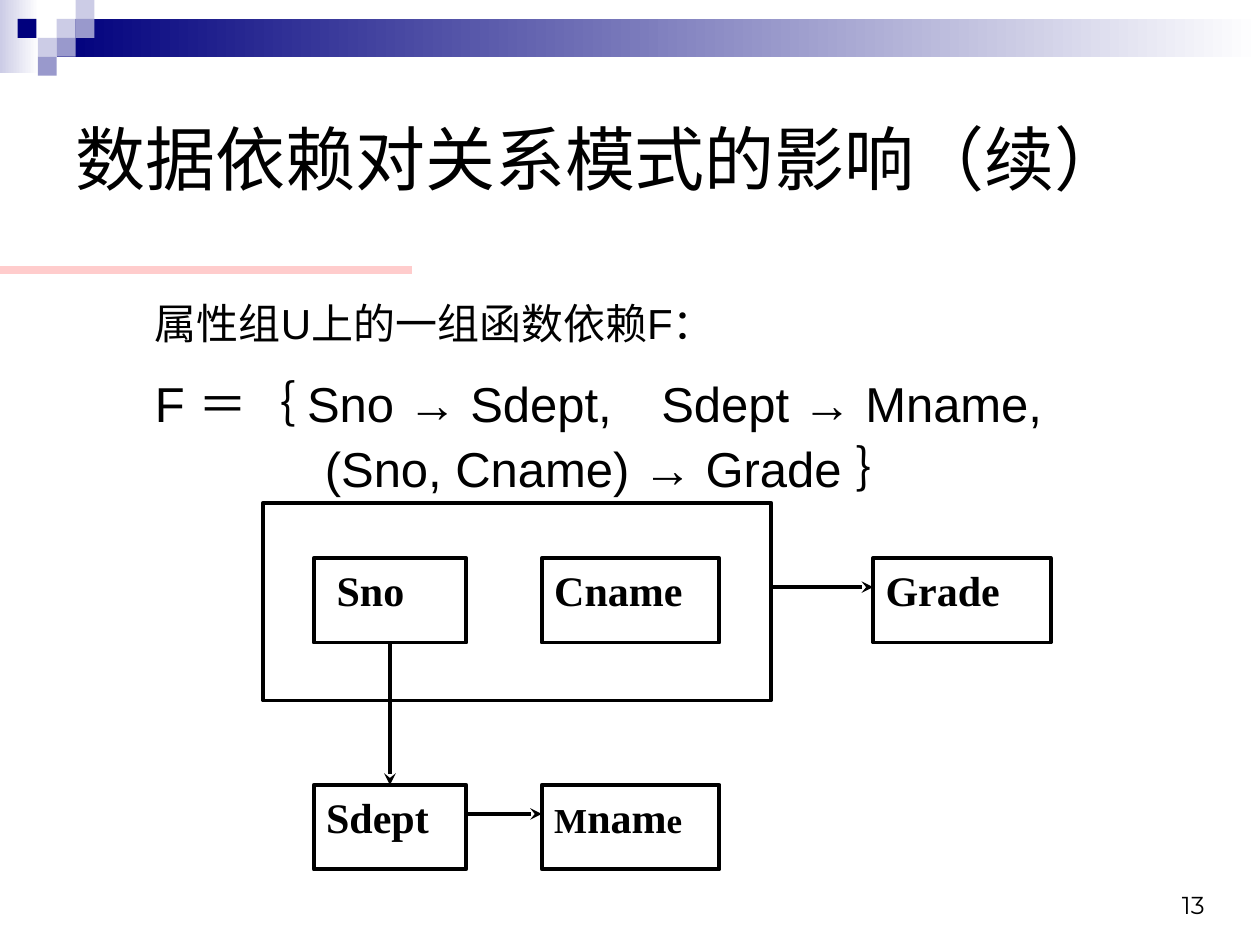
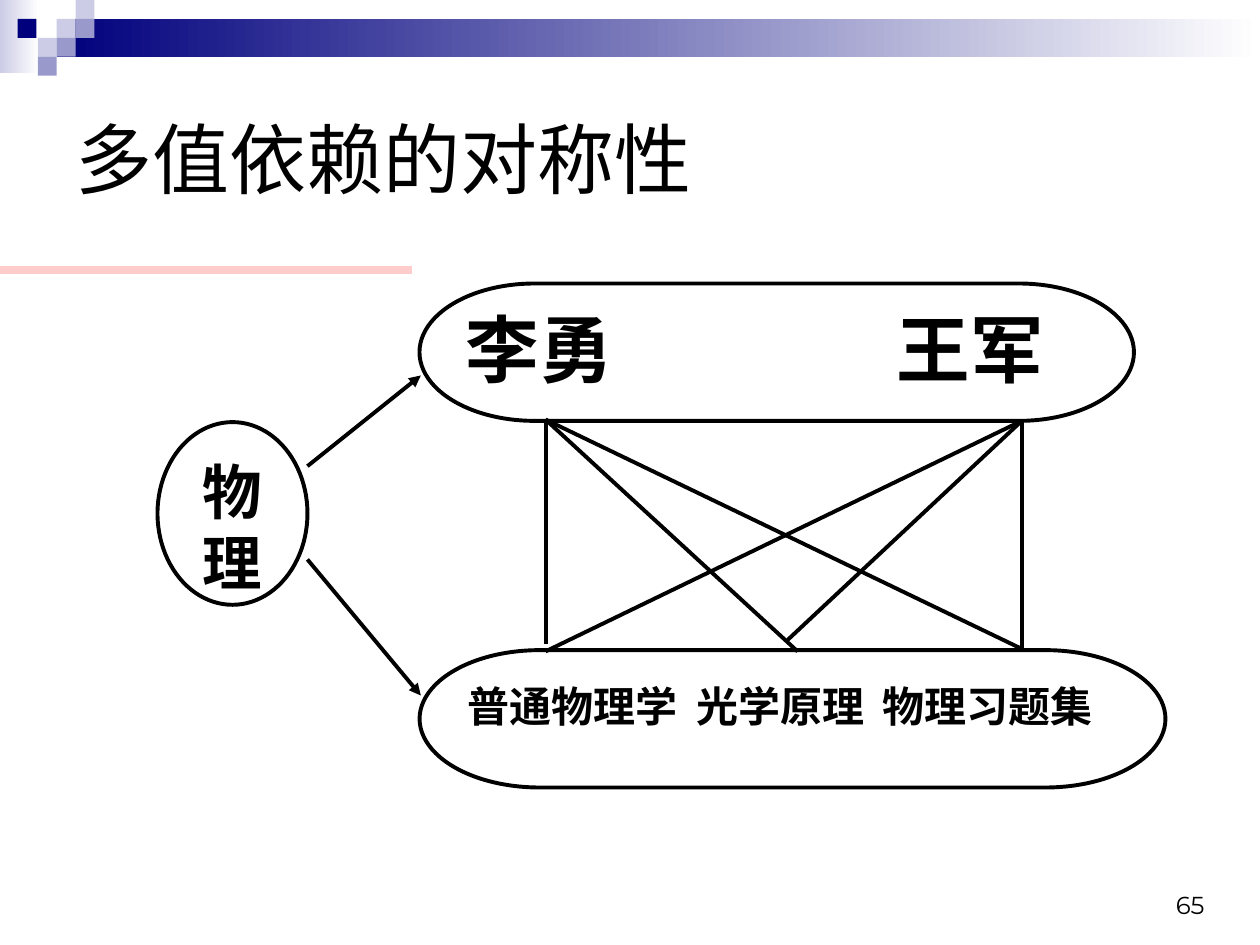
from pptx import Presentation
from pptx import util as u
from pptx.dml import color
from pptx.enum import shapes, text
from pptx.oxml import ns, xmlchemy

COLORS = {"ink": "000000", "paper": "FFFFFF", "navy": "00007D",
          "lilac": "CCCCE6", "violet": "9999CC", "pink": "FFCCCC"}
WIDTH, HEIGHT = u.Inches(10), u.Inches(7.5)
CELL = WIDTH / 100
PIXEL = 1.5
STROKE = 2.25
PRESET = shapes.MSO_SHAPE
ALIGN = text.PP_ALIGN
ANCHOR = text.MSO_ANCHOR
PADDING = (1, 0.5, 1, 0.5)
PIXELS = [(3, 1, "lilac"), (4, 0, "lilac"), (4, 1, "violet"), (2, 2, "lilac"),
          (0.93, 1, "navy"), (3, 2, "violet"), (2, 3, "violet")]


def grid(*cells):
    """Turn grid cells, 100 across and 75 down the slide, into lengths."""
    return [u.Emu(round(cell * CELL)) for cell in cells]


def rgb(name):
    """Look up a named colour."""
    return color.RGBColor.from_string(COLORS[name])


def assign(target, values):
    """Set every attribute in a dict on the target."""
    for name, value in values.items():
        setattr(target, name, value)


def write(frame, paragraphs, font="Arial", bold=False, anchor=ANCHOR.TOP, padding=PADDING):
    """Fill a text frame from (runs, paragraph format, tab columns) entries."""
    left, top, right, bottom = grid(*padding)
    assign(frame, {"word_wrap": True, "auto_size": text.MSO_AUTO_SIZE.NONE,
                   "vertical_anchor": anchor, "margin_left": left, "margin_top": top,
                   "margin_right": right, "margin_bottom": bottom})
    for index, (runs, layout, tabs) in enumerate(paragraphs):
        paragraph = frame.add_paragraph() if index else frame.paragraphs[0]
        assign(paragraph, {"alignment": ALIGN.LEFT, **layout})
        add_tabs(paragraph, tabs)
        for words, size in runs:
            run = paragraph.add_run()
            run.text = words
            assign(run.font, {"name": font, "size": u.Pt(size), "bold": bold})
            run.font.color.rgb = rgb("ink")


def add_tabs(paragraph, columns):
    """Give a paragraph left tab stops."""
    if columns:
        properties = paragraph._p.get_or_add_pPr()
        tab_list = xmlchemy.OxmlElement("a:tabLst")
        properties.append(tab_list)
        for position in grid(*columns):
            tab = xmlchemy.OxmlElement("a:tab")
            tab.set("pos", str(position))
            tab.set("algn", "l")
            tab_list.append(tab)


def add_text(slide, box, paragraphs, **style):
    """Add a text box."""
    write(slide.shapes.add_textbox(*grid(*box)).text_frame, paragraphs, **style)


def add_block(slide, box, fill, fade=None):
    """Add a borderless rectangle, optionally fading to a second colour."""
    shape = slide.shapes.add_shape(PRESET.RECTANGLE, *grid(*box))
    shape.shadow.inherit = False
    shape.line.fill.background()
    if fade:
        shape.fill.gradient()
        shape.fill.gradient_angle = 0
        for stop, name in zip(shape.fill.gradient_stops, (fill, fade)):
            stop.color.rgb = rgb(name)
    else:
        shape.fill.solid()
        shape.fill.fore_color.rgb = rgb(fill)


def add_node(slide, preset, box, paragraphs=(), fill=None, **style):
    """Add an outlined diagram node with a bold label."""
    shape = slide.shapes.add_shape(preset, *grid(*box))
    shape.shadow.inherit = False
    if fill:
        shape.fill.solid()
        shape.fill.fore_color.rgb = rgb(fill)
    else:
        shape.fill.background()
    shape.line.color.rgb = rgb("ink")
    shape.line.width = u.Pt(STROKE)
    write(shape.text_frame, paragraphs, font="Times New Roman", bold=True, **style)


def add_line(slide, start, end, head=None, name="ink", weight=STROKE):
    """Add a straight line, with an arrowhead at its end if one is named."""
    line = slide.shapes.add_connector(shapes.MSO_CONNECTOR.STRAIGHT, *grid(*start, *end))
    line.line.color.rgb = rgb(name)
    line.line.width = u.Pt(weight)
    properties = line._element.spPr
    if head:
        arrow = xmlchemy.OxmlElement("a:tailEnd")
        arrow.set("type", head)
        properties.find(ns.qn("a:ln")).append(arrow)
    properties.append(xmlchemy.OxmlElement("a:effectLst"))


def add_slide(presentation, title, size, number):
    """Add a slide with the shared band, rule, title and page number."""
    slide = presentation.slides.add_slide(presentation.slide_layouts[5])
    add_block(slide, (0, 0, 3.1, 5.8), "lilac", "paper")
    add_block(slide, (3 * PIXEL, PIXEL, 100 - 3 * PIXEL, 2 * PIXEL), "navy", "paper")
    for column, row, name in PIXELS:
        add_block(slide, (column * PIXEL, row * PIXEL, PIXEL, PIXEL), name)
    add_line(slide, (0, 21.4), (32.7, 21.4), name="pink", weight=4.5)
    add_text(slide, (71.6, 68.3, 25, 5.2), [([(number, 14)], {"alignment": ALIGN.RIGHT}, ())],
             font="Montserrat", anchor=ANCHOR.BOTTOM)
    heading = slide.shapes.title
    assign(heading, dict(zip(("left", "top", "width", "height"), grid(5, 5, 90, 15))))
    write(heading.text_frame, [([(title, size)], {}, ())], anchor=ANCHOR.MIDDLE)
    return slide


def build_dependencies(presentation):
    """Build the slide on functional dependencies."""
    slide = add_slide(presentation, "数据依赖对关系模式的影响（续）", 40, "13")
    add_text(slide, (11.3, 23.1, 81.2, 44), [
        ([("属性组U上的一组函数依赖F：", 24)], {}, ()),
        ([("F ＝｛ Sno → Sdept,\tSdept → Mname,", 28)],
         {"line_spacing": 1.2, "space_before": u.Pt(8)}, (40.2,)),
        ([("(Sno, Cname) → Grade ｝", 28)], {"space_before": u.Pt(3.5)}, ())])
    indented = slide.shapes[-1].text_frame.paragraphs[-1]
    indented._p.get_or_add_pPr().set("marL", str(grid(13.5)[0]))

    upper, lower, depth, port = 44.3, 62.3, 6.7, 2.3
    columns = {"student": (24.9, 12.1), "course": (43, 14.1), "result": (69.3, 14.1)}
    key_left, key_top, key_width, key_height = key = (20.9, 39.9, 40.3, 15.7)
    add_node(slide, PRESET.RECTANGLE, key)
    for column, row, runs in [
            ("student", upper, [(" Sno", 24)]),
            ("course", upper, [("Cname", 24)]),
            ("student", lower, [("Sdept", 24)]),
            ("course", lower, [("M", 20), ("nam", 24), ("e", 20)]),
            ("result", upper, [("Grade", 24)])]:
        left, width = columns[column]
        add_node(slide, PRESET.RECTANGLE, (left, row, width, depth), [(runs, {}, ())])
    left, width = columns["student"]
    middle = left + width / 2
    for start, end in [
            ((middle, upper + depth), (middle, lower)),
            ((left + width, lower + port), (columns["course"][0], lower + port)),
            ((key_left + key_width, upper + port), (columns["result"][0], upper + port))]:
        add_line(slide, start, end, "stealth")


def build_symmetry(presentation):
    """Build the slide on the symmetry of multivalued dependencies."""
    slide = add_slide(presentation, "多值依赖的对称性", 44, "65")
    centred = {"alignment": ALIGN.CENTER}
    add_node(slide, PRESET.OVAL, (12.5, 33.5, 11.9, 14.5),
             [([(sign, 34)], centred, ()) for sign in "物理"], "paper")
    add_node(slide, PRESET.FLOWCHART_TERMINATOR, (33.3, 51.6, 59.2, 10.9),
             [([("普通物理学\t光学原理\t物理习题集", 24)], {}, (18.2, 33))],
             "paper", padding=(1, 0.8, 1, 0.5))
    add_node(slide, PRESET.FLOWCHART_TERMINATOR, (33.3, 22.5, 56.7, 10.9),
             [([("李勇\t王军", 42)], {}, (34.2,))], "paper", padding=(1, 0, 1, 0.5))
    add_line(slide, (24.4, 37), (33.4, 29.8), "triangle")
    add_line(slide, (24.4, 44.4), (33.4, 55.2), "triangle")
    teachers = (43.3, 33.3), (81.1, 33.4)
    book_ends = [[(43.3, 51.1), (63.3, 51.7), (81.1, 51.5)],
                 [(43.3, 51.7), (62.5, 50.8), (81.1, 51.5)]]
    for teacher, books in zip(teachers, book_ends):
        for book in books:
            add_line(slide, teacher, book)


def main():
    """Build and save the presentation."""
    presentation = Presentation()
    assign(presentation, {"slide_width": WIDTH, "slide_height": HEIGHT})
    build_dependencies(presentation)
    build_symmetry(presentation)
    presentation.save("out.pptx")


if __name__ == "__main__":
    main()
